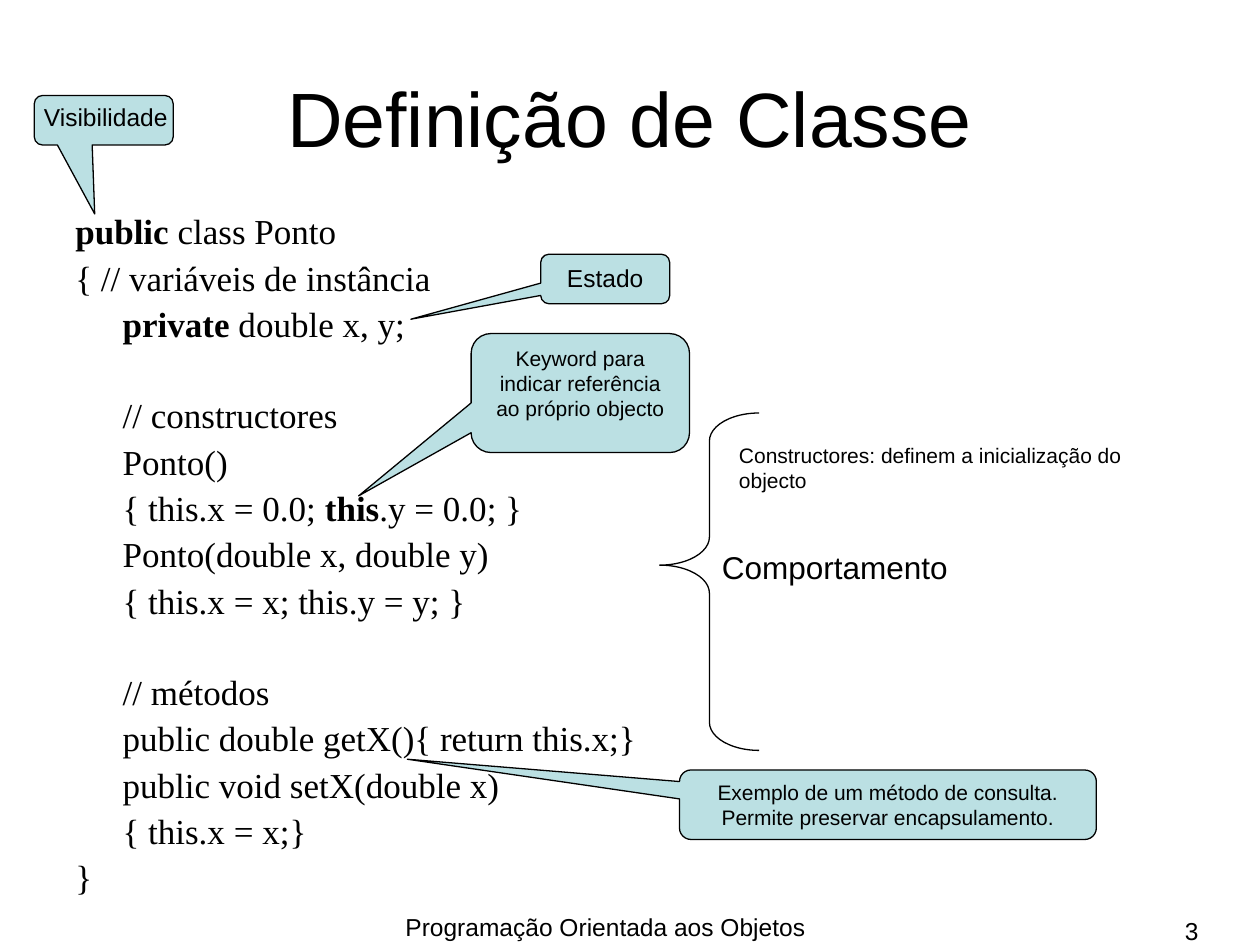
import pptx
import pptx.util
import pptx.dml.color
import pptx.enum.shapes
import pptx.enum.text

Pt = pptx.util.Pt
SHAPES = pptx.enum.shapes.MSO_SHAPE
ALIGN = pptx.enum.text.PP_ALIGN
ANCHOR = pptx.enum.text.MSO_ANCHOR

INK, CALLOUT_FILL = "000000", "BBE0E3"
CODE_SIZE, CODE_INDENT, CODE_GAP, CODE_PITCH = 20, 27, 4.9, 25.6

TITLE = "Definição de Classe"
# (indent level, blank lines above, runs as (text, bold))
CODE = [
    (0, 0, [("public", True), (" class Ponto", False)]),
    (0, 0, [("{ // variáveis de instância", False)]),
    (1, 0, [("private", True), (" double x, y;", False)]),
    (1, 1, [("// constructores", False)]),
    (1, 0, [("Ponto()", False)]),
    (1, 0, [("{ this.x = 0.0; ", False), ("this", True), (".y = 0.0; }", False)]),
    (1, 0, [("Ponto(double x, double y)", False)]),
    (1, 0, [("{ this.x = x; this.y = y; }", False)]),
    (1, 1, [("// métodos", False)]),
    (1, 0, [("public double getX(){ return this.x;}", False)]),
    (1, 0, [("public void setX(double x)", False)]),
    (1, 0, [("{ this.x = x;}", False)]),
    (0, 0, [("}", False)]),
]
CALLOUTS = [
    ("", 14, (19.6, 54.6, 79.4, 28.3), (-0.065, 1.892, 0.167)),
    ("Estado", 14, (309, 145.3, 73.7, 28.3), (-1.507, 0.813, 0.167)),
    ("Keyword para indicar referência ao próprio objecto", 12,
     (269.2, 190.6, 124.8, 68), (-1.015, 0.864, 0.167)),
    ("Exemplo de um método de consulta. Permite preservar encapsulamento.", 12,
     (388.3, 440, 238.2, 39.7), (-1.153, -0.655, 0.167)),
]
BRACE = ((377, 236, 56.8, 192.8), (0.283, 0.451))
LABELS = [
    ("Visibilidade", 14, (18, 54.6, 85, 24), ALIGN.LEFT, False),
    ("Comportamento", 18, (405.4, 309.6, 143.3, 28.8), ALIGN.LEFT, False),
    ("Constructores: definem a inicialização do objecto", 12,
     (415.2, 249.1, 270, 36), ALIGN.LEFT, True),
    ("Programação Orientada aos Objetos", 14, (178.6, 517.7, 334.8, 22.3), ALIGN.CENTER, True),
    ("3", 14, (524.2, 519.8, 167.8, 15.1), ALIGN.RIGHT, True),
]


def color(hex_code):
    return pptx.dml.color.RGBColor.from_string(hex_code)


def place(box):
    return [Pt(length) for length in box]


def assign(target, values):
    for attribute, value in values.items():
        setattr(target, attribute, value)


def add_run(paragraph, text, size, font="Arial", bold=False):
    run = paragraph.add_run()
    run.text = text
    assign(run.font, {"size": Pt(size), "name": font, "bold": bold})
    run.font.color.rgb = color(INK)


def write(frame, text, size, alignment, wrap=True, anchor=ANCHOR.TOP):
    assign(frame, {"word_wrap": wrap, "vertical_anchor": anchor})
    frame.paragraphs[0].alignment = alignment
    add_run(frame.paragraphs[0], text, size)


def add_outline(slide, kind, box, adjustments, fill=None):
    outline = slide.shapes.add_shape(kind, *place(box))
    outline.shadow.inherit = False
    for index, adjustment in enumerate(adjustments):
        outline.adjustments[index] = adjustment
    if fill:
        outline.fill.solid()
        outline.fill.fore_color.rgb = color(fill)
    else:
        outline.fill.background()
    outline.line.color.rgb = color(INK)
    outline.line.width = Pt(0.75)
    return outline


def add_code(slide):
    frame = slide.shapes.add_textbox(*place((36, 116.6, 648, 402.5))).text_frame
    assign(frame, {"word_wrap": True, "margin_top": Pt(6)})
    for index, (level, blanks, runs) in enumerate(CODE):
        line = frame.add_paragraph() if index else frame.paragraphs[0]
        line.line_spacing = 0.9
        line.space_before = Pt(CODE_GAP + blanks * CODE_PITCH if index else 0)
        line._p.get_or_add_pPr().set("marL", str(Pt(CODE_INDENT * level)))
        for text, bold in runs:
            add_run(line, text, CODE_SIZE, "Times New Roman", bold)


def main():
    deck = pptx.Presentation()
    assign(deck, {"slide_width": Pt(720), "slide_height": Pt(540)})
    slide = deck.slides.add_slide(deck.slide_layouts[5])

    title = slide.shapes.title
    assign(title, dict(zip(("left", "top", "width", "height"), place((36, 21.6, 648, 90)))))
    write(title.text_frame, TITLE, 44, ALIGN.CENTER, anchor=ANCHOR.MIDDLE)

    add_code(slide)
    for text, size, box, adjustments in CALLOUTS:
        callout = add_outline(slide, SHAPES.ROUNDED_RECTANGULAR_CALLOUT, box, adjustments, CALLOUT_FILL)
        if text:
            write(callout.text_frame, text, size, ALIGN.CENTER)
    add_outline(slide, SHAPES.LEFT_BRACE, *BRACE)
    for text, size, box, alignment, wrap in LABELS:
        write(slide.shapes.add_textbox(*place(box)).text_frame, text, size, alignment, wrap)

    deck.save("out.pptx")


if __name__ == "__main__":
    main()
